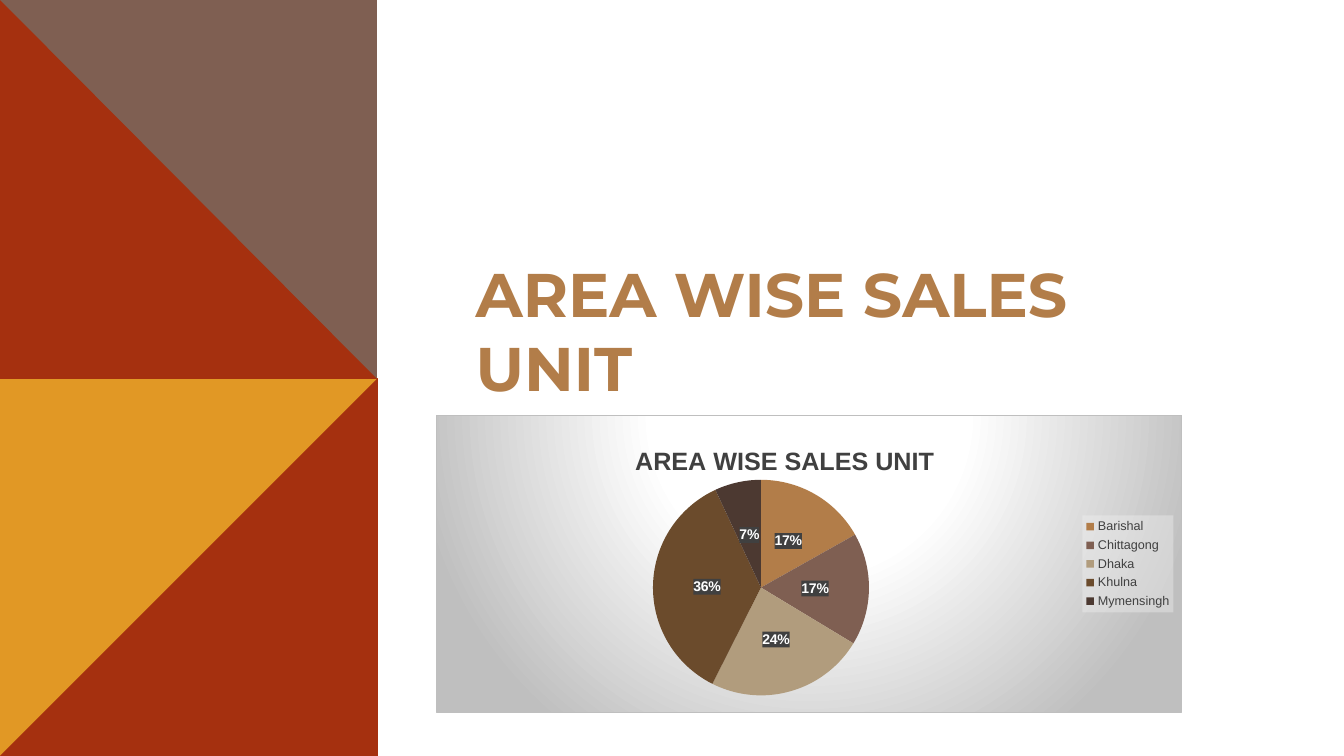
from lxml import etree
from pptx import Presentation
from pptx.chart.data import CategoryChartData
from pptx.dml.color import RGBColor
from pptx.enum.chart import XL_CHART_TYPE, XL_LABEL_POSITION, XL_LEGEND_POSITION
from pptx.enum.text import MSO_ANCHOR
from pptx.oxml import parse_xml
from pptx.oxml.ns import nsdecls, qn
from pptx.util import Pt

PIE = XL_CHART_TYPE.PIE
CENTER = XL_LABEL_POSITION.CENTER
RIGHT = XL_LEGEND_POSITION.RIGHT
TOP = MSO_ANCHOR.TOP

BROWN, RUST, AMBER, COPPER = "7F5F52", "A5300F", "E19825", "B27D49"
DARK, GRAY, WHITE = "404040", "BFBFBF", "FFFFFF"
HEADING = "AREA WISE SALES UNIT"
AREAS = [
    ("Barishal", 17, COPPER),
    ("Chittagong", 17, BROWN),
    ("Dhaka", 24, "B19C7D"),
    ("Khulna", 36, "6B4B2C"),
    ("Mymensingh", 7, "4C3931"),
]


def color(value):
    return RGBColor.from_string(value)


def solid_fill(value, opacity):
    return (f'<a:solidFill><a:srgbClr val="{value}">'
            f'<a:alpha val="{opacity * 1000}"/></a:srgbClr></a:solidFill>')


def radial_fill(stops):
    marks = "".join(f'<a:gs pos="{position * 1000}"><a:srgbClr val="{value}"/></a:gs>'
                    for position, value in stops)
    return (f'<a:gradFill><a:gsLst>{marks}</a:gsLst><a:path path="circle">'
            '<a:fillToRect l="50000" t="-80000" r="50000" b="180000"/>'
            '</a:path></a:gradFill>')


def outline(value, width):
    return (f'<a:ln w="{Pt(width)}"><a:solidFill><a:srgbClr val="{value}"/>'
            '</a:solidFill></a:ln>')


class SlideBuilder:
    body_font = "Arial"
    title_font = "Montserrat"

    def __init__(self, page):
        self.page = page

    def style(self, font, name, size, value, bold=False):
        font.name = name
        font.size = Pt(size)
        font.bold = bold
        font.color.rgb = color(value)

    def polygon(self, points, fill):
        corners = [(Pt(x), Pt(y)) for x, y in points]
        builder = self.page.shapes.build_freeform(*corners[0])
        builder.add_line_segments(corners[1:], close=True)
        shape = builder.convert_to_shape()
        shape.shadow.inherit = False
        shape.fill.solid()
        shape.fill.fore_color.rgb = color(fill)
        shape.line.fill.background()

    def heading(self, text, left, top, width, height):
        box = self.page.shapes.add_textbox(Pt(left), Pt(top), Pt(width), Pt(height))
        frame = box.text_frame
        frame.word_wrap = True
        frame.vertical_anchor = TOP
        span = frame.paragraphs[0].add_run()
        span.text = text
        self.style(span.font, self.title_font, 44, COPPER, True)

    def decorate(self, parent, followers, content):
        block = parse_xml(f'<c:spPr {nsdecls("c", "a")}>{content}</c:spPr>')
        for child in parent:
            if child.tag in [qn(name) for name in followers]:
                child.addprevious(block)
                return
        parent.append(block)

    def arrange(self, parent, **ratios):
        for old in parent.findall(qn("c:layout")):
            parent.remove(old)
        layout = etree.Element(qn("c:layout"))
        manual = etree.SubElement(layout, qn("c:manualLayout"))
        if "w" in ratios:
            etree.SubElement(manual, qn("c:layoutTarget"), val="inner")
        for axis in "xy":
            etree.SubElement(manual, qn(f"c:{axis}Mode"), val="edge")
        for key, ratio in ratios.items():
            etree.SubElement(manual, qn(f"c:{key}"), val=str(ratio))
        text = parent.find(qn("c:tx"))
        if text is None:
            parent.insert(0, layout)
        else:
            text.addnext(layout)

    def pie(self, title, rows, left, top, width, height):
        data = CategoryChartData()
        data.categories = [name for name, _, _ in rows]
        data.add_series("Series 1", [value for _, value, _ in rows])
        frame = self.page.shapes.add_chart(
            PIE, Pt(left), Pt(top), Pt(width), Pt(height), data)
        chart = frame.chart
        self.style(chart.font, self.body_font, 10, "000000")
        root = chart.element if hasattr(chart, "element") else chart._chartSpace
        self.decorate(root, ["c:txPr", "c:externalData"],
                      radial_fill([(0, WHITE), (39, WHITE), (100, GRAY)])
                      + outline(GRAY, 0.75))

        chart.has_title = True
        span = chart.chart_title.text_frame.paragraphs[0].add_run()
        span.text = title
        self.style(span.font, self.body_font, 18, DARK, True)
        chart_root = root.find(qn("c:chart"))
        self.arrange(chart_root.find(qn("c:title")), x=0.26, y=0.08)
        self.arrange(chart_root.find(qn("c:plotArea")), x=0.29, y=0.21, w=0.29, h=0.74)

        chart.has_legend = True
        chart.legend.position = RIGHT
        chart.legend.include_in_layout = False
        self.style(chart.legend.font, self.body_font, 9, DARK)
        self.decorate(chart_root.find(qn("c:legend")), ["c:txPr"],
                      solid_fill("F2F2F2", 39))

        plot = chart.plots[0]
        plot.vary_by_categories = True
        series = plot.series[0]
        for index, (_, _, fill) in enumerate(rows):
            slice_format = series.points[index].format
            slice_format.fill.solid()
            slice_format.fill.fore_color.rgb = color(fill)
            slice_format.line.fill.background()
        labels = series.data_labels
        labels.show_percentage = True
        labels.show_value = False
        labels.number_format = "0%"
        labels.number_format_is_linked = False
        labels.position = CENTER
        self.style(labels.font, self.body_font, 10, WHITE, True)
        self.decorate(labels._element, ["c:txPr"], solid_fill(DARK, 75))


def main():
    deck = Presentation()
    deck.slide_width, deck.slide_height = Pt(960), Pt(540)
    slide = SlideBuilder(deck.slides.add_slide(deck.slide_layouts[6]))

    side, edge, middle, bottom = 270, 269.28, 270.72, 540
    slide.polygon([(0, side), (side, side), (side, bottom), (0, bottom)], AMBER)
    slide.polygon([(side, side), (side, bottom), (0, bottom)], RUST)
    slide.polygon([(0, 0), (edge, 0), (edge, middle), (0, middle)], BROWN)
    slide.polygon([(0, 0), (edge, middle), (0, middle)], RUST)

    slide.heading(HEADING, 332.64, 179.28, 532.8, 60.48)
    slide.pie(HEADING, AREAS, 311.76, 296.64, 532.8, 212.4)
    deck.save("out.pptx")


if __name__ == "__main__":
    main()
